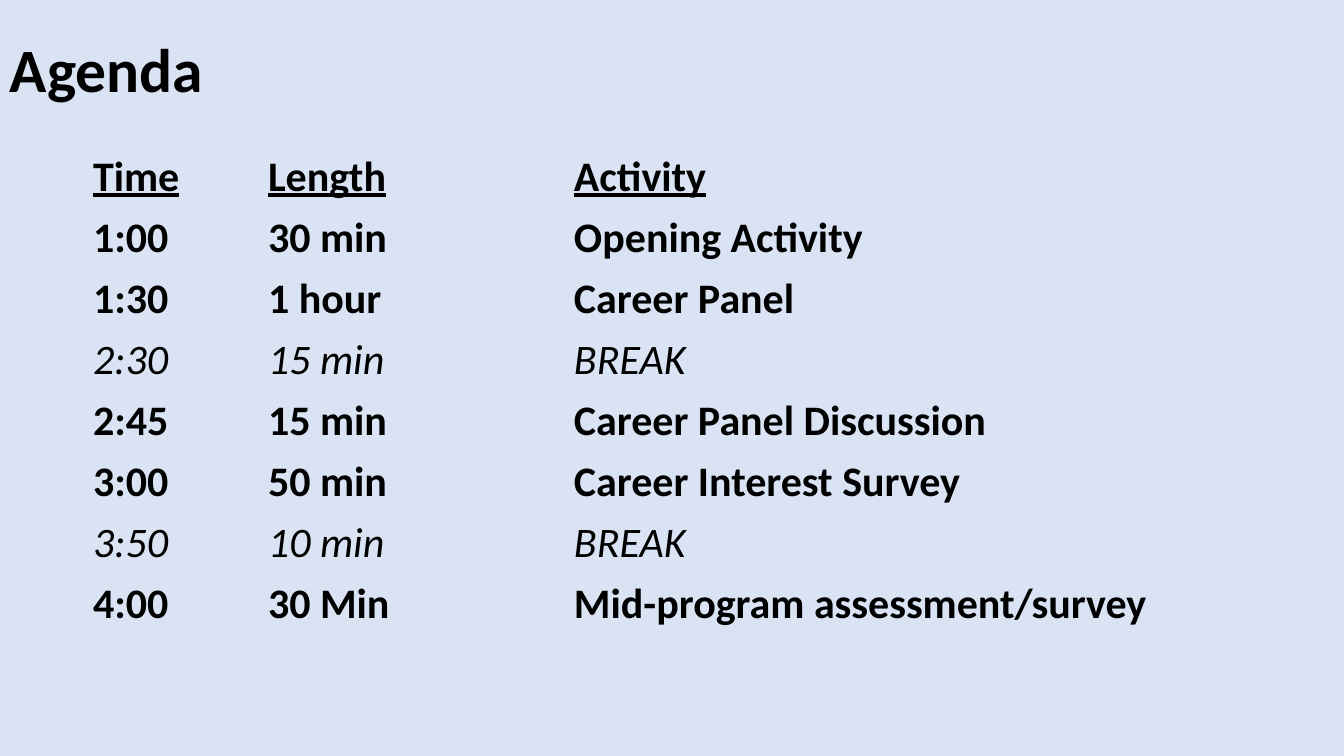
from pptx import Presentation
from pptx import util as u
from pptx.dml.color import RGBColor
from pptx.enum import text
from pptx.oxml.ns import qn

EMU_PER_PX = 914400 / 100.8
COLOURS = {"background": "DAE3F3", "ink": "000000"}
PLAIN_TABLE_STYLE = "{2D5ABB26-0587-4C30-8999-92F81FD0307C}"

TITLE = {"size": u.Pt(44), "bold": True}
HEADING = {"size": u.Pt(30), "bold": True, "underline": True}
SESSION = {"size": u.Pt(30), "bold": True}
BREAK = {"size": u.Pt(30), "bold": False, "italic": True}

AGENDA = [
    ("Time", "Length", "Activity"),
    ("1:00", "30 min", "Opening Activity"),
    ("1:30", "1 hour", "Career Panel"),
    ("2:30", "15 min", "BREAK"),
    ("2:45", "15 min", "Career Panel Discussion"),
    ("3:00", "50 min", "Career Interest Survey"),
    ("3:50", "10 min", "BREAK"),
    ("4:00", "30 Min", "Mid-program assessment/survey"),
]
COLUMN_WIDTHS = (175, 306, 678)
ROW_HEIGHT = 61


def px(length):
    return u.Emu(round(length * EMU_PER_PX))


class AgendaSlide:
    font_name = "Calibri"

    def __init__(self, presentation):
        self.slide = presentation.slides.add_slide(presentation.slide_layouts[6])
        background = self.slide.background.fill
        background.solid()
        background.fore_color.rgb = RGBColor.from_string(COLOURS["background"])

    def add_words(self, paragraph, words, style):
        run = paragraph.add_run()
        run.text = words
        run.font.name = self.font_name
        run.font.color.rgb = RGBColor.from_string(COLOURS["ink"])
        for name, value in style.items():
            setattr(run.font, name, value)

    def title(self, words, left, top, width, height):
        frame = self.slide.shapes.add_textbox(*map(px, (left, top, width, height))).text_frame
        frame.word_wrap = True
        frame.vertical_anchor = text.MSO_ANCHOR.MIDDLE
        heading = frame.paragraphs[0]
        heading.line_spacing = 0.9
        self.add_words(heading, words, TITLE)

    def schedule(self, entries, left, top):
        size = (sum(COLUMN_WIDTHS), ROW_HEIGHT * len(entries))
        table = self.slide.shapes.add_table(
            len(entries), len(COLUMN_WIDTHS), *map(px, (left, top, *size))
        ).table
        table.horz_banding = False
        table.first_row = False
        table._tbl.tblPr.find(qn("a:tableStyleId")).text = PLAIN_TABLE_STYLE
        for column, width in zip(table.columns, COLUMN_WIDTHS):
            column.width = px(width)
        for index, (row, entry) in enumerate(zip(table.rows, entries)):
            row.height = px(ROW_HEIGHT)
            style = HEADING if index == 0 else BREAK if entry[-1] == "BREAK" else SESSION
            for cell, words in zip(row.cells, entry):
                cell.fill.background()
                self.add_words(cell.text_frame.paragraphs[0], words, style)


def main():
    presentation = Presentation()
    presentation.slide_width, presentation.slide_height = px(1344), px(756)
    agenda = AgendaSlide(presentation)
    agenda.title("Agenda", 0, 0, 1159, 146)
    agenda.schedule(AGENDA, 83, 146)
    presentation.save("out.pptx")


if __name__ == "__main__":
    main()
